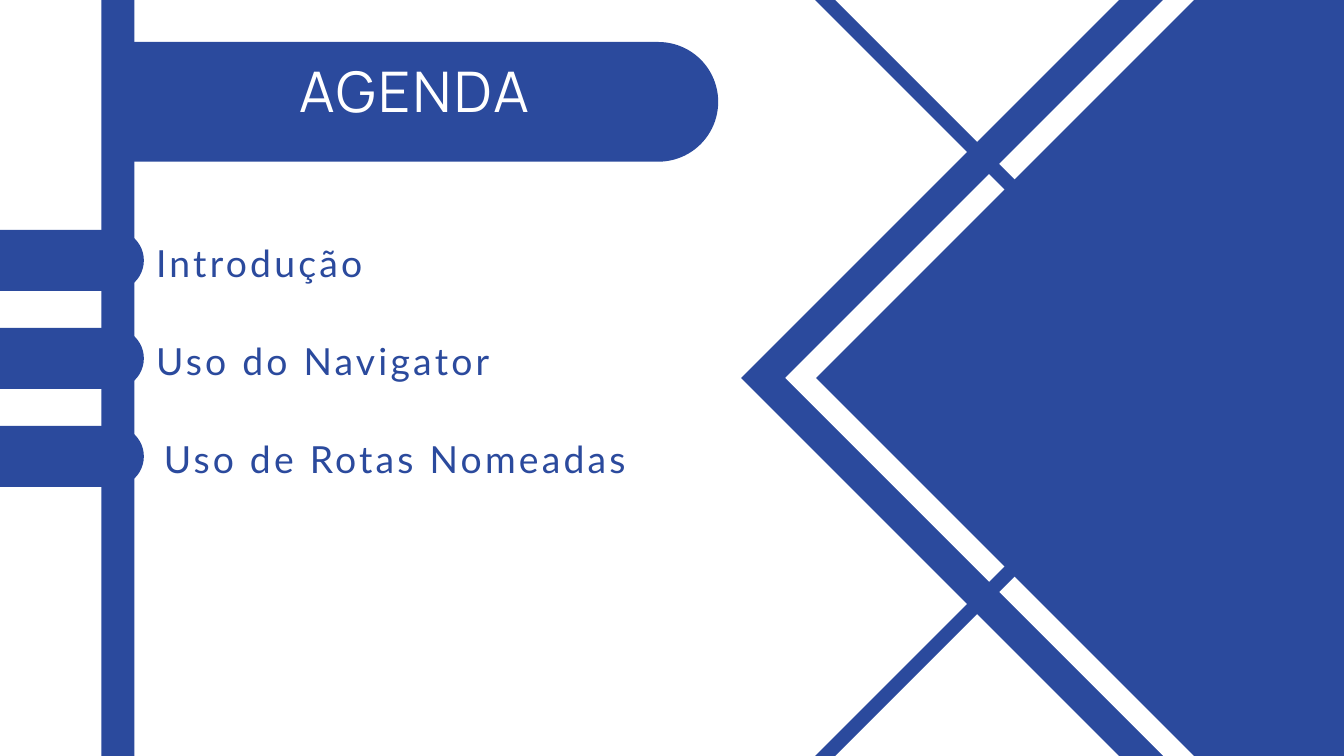
from lxml.etree import SubElement
from pptx import Presentation
from pptx.dml.color import RGBColor
from pptx.enum.shapes import MSO_SHAPE
from pptx.enum.text import MSO_ANCHOR, MSO_AUTO_SIZE, PP_ALIGN
from pptx.oxml.ns import qn
from pptx.util import Pt

PX = 9525
BLUE, WHITE = "2B4A9D", "FFFFFF"

deck = Presentation()
deck.slide_width, deck.slide_height = 1920 * PX, 1080 * PX
slide = deck.slides.add_slide(deck.slide_layouts[1])
title, body = slide.placeholders


def draw(kind, left, top, width, height, color=BLUE, turn=0, adjust=()):
    """Add a plain filled shape; the box is given before it is turned."""
    shape = slide.shapes.add_shape(
        kind, left * PX, top * PX, width * PX, height * PX)
    shape.shadow.inherit = False
    shape.fill.solid()
    shape.fill.fore_color.rgb = RGBColor.from_string(color)
    shape.line.fill.background()
    shape.rotation = turn
    for i, value in enumerate(adjust):
        shape.adjustments[i] = value


def write(holder, lines, box, font, size, color, line, track,
          align=PP_ALIGN.LEFT, after=0):
    """Fill a placeholder with (text, indent) lines and bring it to the front."""
    holder.left, holder.top, holder.width, holder.height = [n * PX for n in box]
    holder.element.getparent().append(holder.element)
    frame = holder.text_frame
    frame.margin_left = frame.margin_right = 0
    frame.margin_top = frame.margin_bottom = 0
    frame.word_wrap = True
    frame.auto_size = MSO_AUTO_SIZE.NONE
    frame.vertical_anchor = MSO_ANCHOR.TOP
    for i, (text, indent) in enumerate(lines):
        para = frame.add_paragraph() if i else frame.paragraphs[0]
        para.alignment = align
        para.line_spacing = Pt(line)
        para.space_before, para.space_after = Pt(0), Pt(after)
        props = para._p.get_or_add_pPr()
        props.set("marL", str(indent * PX))
        props.set("indent", "0")
        SubElement(props, qn("a:buNone"))
        run = para.add_run()
        run.text = text
        run.font.name, run.font.size = font, Pt(size)
        run.font.color.rgb = RGBColor.from_string(color)
        run.font._element.set("spc", str(track))


# Vertical bar
draw(MSO_SHAPE.RECTANGLE, 145, 0, 47, 1080)

# Large diamond with its white outline, then the two thin ones
draw(MSO_SHAPE.RECTANGLE, 1280, 6, 1068, 1068, turn=315)
draw(MSO_SHAPE.FRAME, 1326, 47, 986, 986, WHITE, 45, [0.0314])
for top in (845, -412):
    draw(MSO_SHAPE.FRAME, 1210, top, 647, 647, BLUE, 45, [0.0314])

# Title band and list tabs, rounded on the right
tabs = [(0, 328 + 140 * i, 206, 87) for i in range(3)]
for left, top, wide, high in [(191, 60, 835, 171)] + tabs:
    shift = (wide - high) // 2
    draw(MSO_SHAPE.ROUND_2_SAME_RECTANGLE, left + shift, top - shift,
         high, wide, turn=90, adjust=[0.5, 0])

write(title, [("AGENDA", 0)], (223, 92, 737, 94), "Manrope", 60, WHITE,
      line=63, track=300, align=PP_ALIGN.CENTER)
items = [("Introdução", 0), ("Uso do Navigator", 0),
         ("Uso de Rotas Nomeadas", 11)]
write(body, items, (223, 342, 782, 340), "Lato", 40, BLUE,
      line=49, track=350, after=56)

deck.save("out.pptx")
